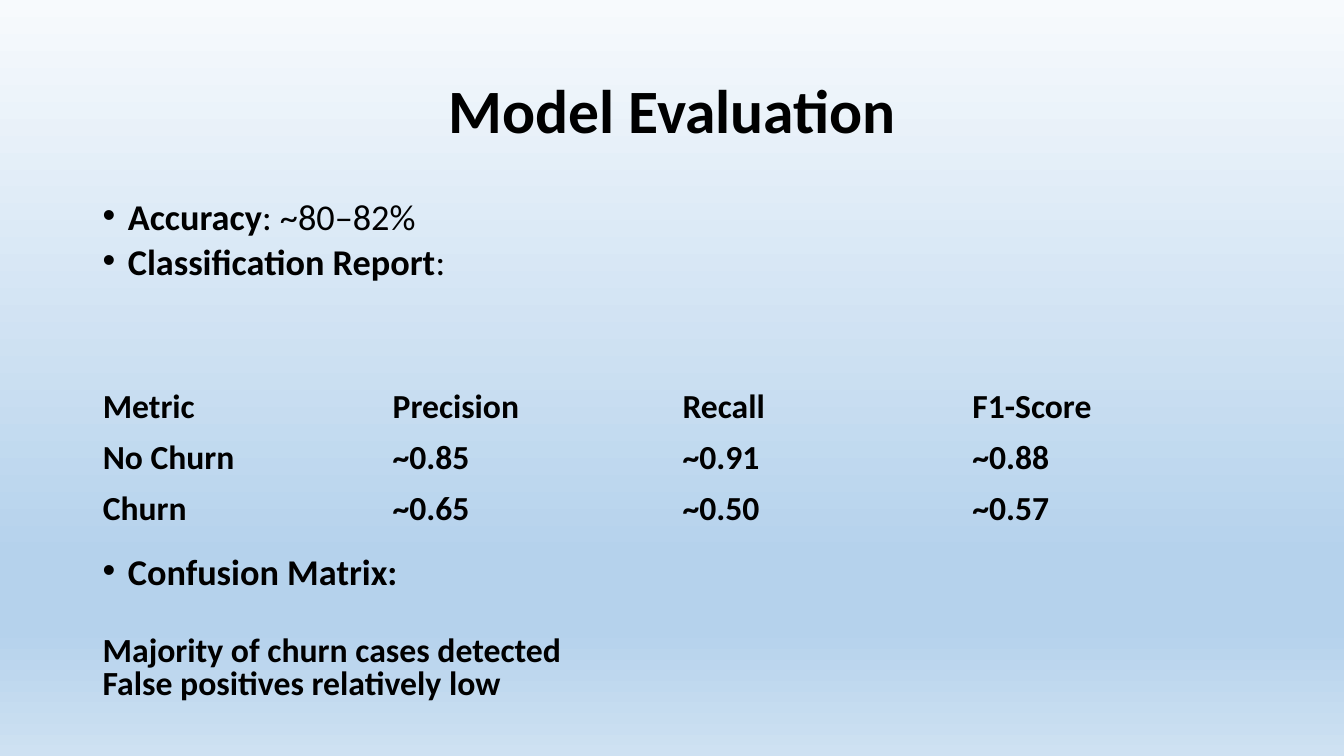
"""Build the Model Evaluation slide with its classification table."""
from copy import deepcopy

from lxml.etree import SubElement
from pptx import Presentation
from pptx.dml.color import RGBColor
from pptx.enum.text import MSO_ANCHOR, MSO_AUTO_SIZE, PP_ALIGN
from pptx.oxml.ns import qn
from pptx.util import Inches, Pt

BLACK = RGBColor(0x00, 0x00, 0x00)
PALE = RGBColor(0xF7, 0xFA, 0xFD)
SKY = RGBColor(0xB5, 0xD2, 0xEC)
MIST = RGBColor(0xCE, 0xE1, 0xF2)
BACKGROUND_STOPS = [(0, PALE), (0.74, SKY), (0.83, SKY), (1, MIST)]
FONT = "Calibri"
NO_STYLE_NO_GRID = "{2D5ABB26-0587-4C30-8999-92F81FD0307C}"
LEFT, WIDTH = Inches(0.92), Inches(11.5)
BULLET_SIZE, FINDING_SIZE = 25.9, 24.1

BULLETS = [
    (10, [("Accuracy", True), (": ~80–82%", False)]),
    (10, [("Classification Report", True), (":", False)]),
    (200, [("Confusion Matrix:", True)]),
]
FINDINGS = [
    (32, "Majority of churn cases detected"),
    (0, "False positives relatively low"),
]
SCORES = [
    ["Metric", "Precision", "Recall", "F1-Score"],
    ["No Churn", "~0.85", "~0.91", "~0.88"],
    ["Churn", "~0.65", "~0.50", "~0.57"],
]


def paint_background(slide):
    fill = slide.background.fill
    fill.gradient()
    fill.gradient_angle = 270
    stop_list = slide.background._cSld.find(".//" + qn("a:gsLst"))
    while len(stop_list) < len(BACKGROUND_STOPS):
        stop_list.append(deepcopy(stop_list[0]))
    for stop, (position, color) in zip(fill.gradient_stops, BACKGROUND_STOPS):
        stop.position = position
        stop.color.rgb = color


def add_run(paragraph, text, size, bold=True):
    run = paragraph.add_run()
    run.text = text
    run.font.name = FONT
    run.font.size = Pt(size)
    run.font.bold = bold
    run.font.color.rgb = BLACK


def set_bullet(paragraph):
    properties = paragraph._p.get_or_add_pPr()
    properties.set("marL", str(Inches(0.25)))
    properties.set("indent", str(-Inches(0.25)))
    SubElement(properties, qn("a:buFont")).set("typeface", "Arial")
    SubElement(properties, qn("a:buChar")).set("char", "•")


def set_title(slide, text):
    title = slide.shapes.title
    title.left, title.top = LEFT, Inches(0.4)
    title.width, title.height = WIDTH, Inches(1.45)
    frame = title.text_frame
    frame.vertical_anchor = MSO_ANCHOR.MIDDLE
    paragraph = frame.paragraphs[0]
    paragraph.alignment = PP_ALIGN.CENTER
    paragraph.line_spacing = 0.9
    add_run(paragraph, text, 44)


def add_body(slide):
    frame = slide.shapes.add_textbox(LEFT, Inches(2), WIDTH, Inches(5.5)).text_frame
    frame.word_wrap = True
    frame.auto_size = MSO_AUTO_SIZE.NONE
    for index, (space, runs) in enumerate(BULLETS):
        paragraph = frame.add_paragraph() if index else frame.paragraphs[0]
        paragraph.line_spacing = 0.7
        paragraph.space_before = Pt(space)
        set_bullet(paragraph)
        for text, bold in runs:
            add_run(paragraph, text, BULLET_SIZE, bold)
    for space, text in FINDINGS:
        paragraph = frame.add_paragraph()
        paragraph.line_spacing = 0.8
        paragraph.space_before = Pt(space)
        add_run(paragraph, text, FINDING_SIZE)


def add_score_table(slide):
    frame = slide.shapes.add_table(
        len(SCORES), len(SCORES[0]), LEFT, Inches(3.78), WIDTH, Inches(1.52)
    )
    table = frame.table
    table.first_row = table.horz_banding = False
    table._tbl.tblPr.find(qn("a:tableStyleId")).text = NO_STYLE_NO_GRID
    for row, values in zip(table.rows, SCORES):
        for cell, value in zip(row.cells, values):
            cell.fill.background()
            cell.vertical_anchor = MSO_ANCHOR.MIDDLE
            add_run(cell.text_frame.paragraphs[0], value, 24)


def main():
    presentation = Presentation()
    presentation.slide_width = Inches(13.33)
    presentation.slide_height = Inches(7.5)
    slide = presentation.slides.add_slide(presentation.slide_layouts[5])
    paint_background(slide)
    set_title(slide, "Model Evaluation")
    add_body(slide)
    add_score_table(slide)
    presentation.save("out.pptx")


if __name__ == "__main__":
    main()
